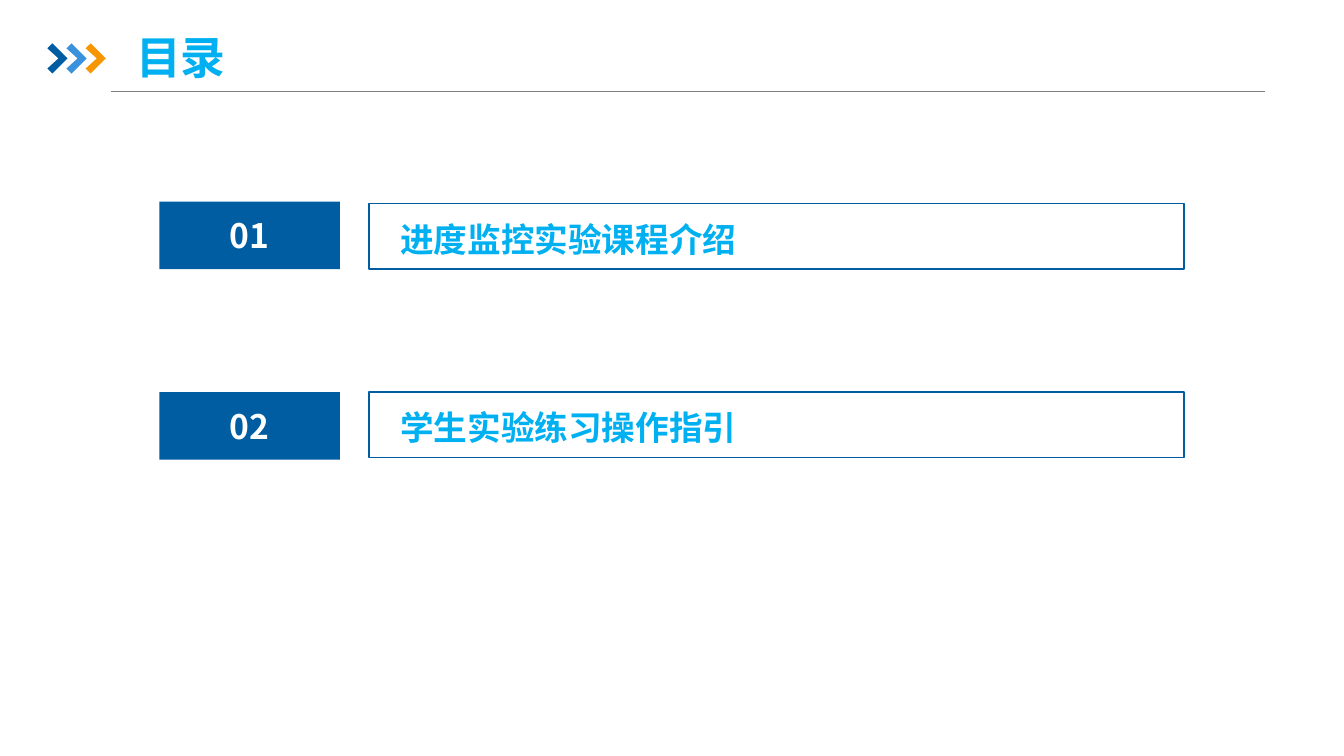
from lxml import etree
from pptx import Presentation
from pptx.dml.color import RGBColor
from pptx.enum.shapes import MSO_CONNECTOR, MSO_SHAPE
from pptx.enum.text import MSO_ANCHOR, PP_ALIGN
from pptx.oxml.ns import qn
from pptx.util import Inches, Pt

RECTANGLE = MSO_SHAPE.RECTANGLE
STRAIGHT = MSO_CONNECTOR.STRAIGHT
MIDDLE = MSO_ANCHOR.MIDDLE
LEFT, CENTER = PP_ALIGN.LEFT, PP_ALIGN.CENTER

FONT = "Noto Sans CJK SC"
NAVY = RGBColor(0x00, 0x5D, 0xA2)
BLUE = RGBColor(0x39, 0x92, 0xDB)
ORANGE = RGBColor(0xF7, 0x96, 0x00)
CYAN = RGBColor(0x00, 0xB0, 0xF0)
GRAY = RGBColor(0x80, 0x80, 0x80)
WHITE = RGBColor(0xFF, 0xFF, 0xFF)

TOPICS = ["进度监控实验课程介绍", "学生实验练习操作指引"]


def write(shape, text, size, color, align):
    """Put one bold, vertically centred paragraph into a shape."""
    frame = shape.text_frame
    frame.word_wrap = True
    frame.vertical_anchor = MIDDLE
    frame.text = text
    para = frame.paragraphs[0]
    para.alignment = align
    font = para.font
    font.size, font.bold, font.name = Pt(size), True, FONT
    font.color.rgb = color
    # Chinese characters take the East Asian typeface
    latin = para._p.find(".//" + qn("a:latin"))
    east_asian = etree.Element(qn("a:ea"), typeface=FONT)
    latin.addnext(east_asian)


def add_chevron(page, left, top, color):
    width, height, notch, arm = 0.2, 0.3, 0.11, 0.05
    points = [(arm, 0), (width, height / 2), (arm, height),
              (0, height - arm), (notch, height / 2), (0, arm)]
    corners = [(Inches(left + x), Inches(top + y)) for x, y in points]
    builder = page.shapes.build_freeform(*corners[0])
    builder.add_line_segments(corners[1:], close=True)
    chevron = builder.convert_to_shape()
    chevron.shadow.inherit = False
    chevron.fill.solid()
    chevron.fill.fore_color.rgb = color
    chevron.line.fill.background()


def add_header(page, left, top, width, text):
    # Rule under the title
    rule_y = Inches(top + 0.62)
    rule = page.shapes.add_connector(
        STRAIGHT, Inches(left + 0.63), rule_y, Inches(left + width), rule_y)
    rule.line.color.rgb = GRAY
    rule.line.width = Pt(0.75)
    etree.SubElement(rule._element.spPr, qn("a:effectLst"))

    # Three chevrons
    for index, color in enumerate([NAVY, BLUE, ORANGE]):
        add_chevron(page, left + index * 0.19, top + 0.14, color)

    # Title
    title = page.shapes.title
    title.left, title.top = Inches(left + 0.78), Inches(top)
    title.width, title.height = Inches(5.52), Inches(0.55)
    write(title, text, 32, CYAN, LEFT)


def add_box(page, left, top, width, height):
    box = page.shapes.add_shape(
        RECTANGLE, Inches(left), Inches(top), Inches(width), Inches(height))
    box.shadow.inherit = False
    return box


def add_agenda(page, left, top, width, topics):
    badge_width, topic_offset = 1.79, 2.08
    for index, topic in enumerate(topics):
        # Number badge
        badge = add_box(page, left, top + index * 1.89, badge_width, 0.67)
        badge.fill.solid()
        badge.fill.fore_color.rgb = NAVY
        badge.line.fill.background()
        write(badge, f"{index + 1:02}", 24, WHITE, CENTER)

        # Outlined topic
        box = add_box(page, left + topic_offset, top + 0.02 + index * 1.87,
                      width - topic_offset, 0.65)
        box.fill.background()
        box.line.color.rgb = NAVY
        box.line.width = Pt(1.25)
        box.text_frame.margin_left = Inches(0.31)
        box.text_frame.margin_top = Inches(0.1)
        write(box, topic, 24, CYAN, LEFT)


def main():
    deck = Presentation()
    deck.slide_width, deck.slide_height = Inches(13.33), Inches(7.5)
    page = deck.slides.add_slide(deck.slide_layouts[5])
    add_header(page, 0.47, 0.29, 12.08, "目录")
    add_agenda(page, 1.58, 2, 10.16, TOPICS)
    deck.save("out.pptx")


if __name__ == "__main__":
    main()
